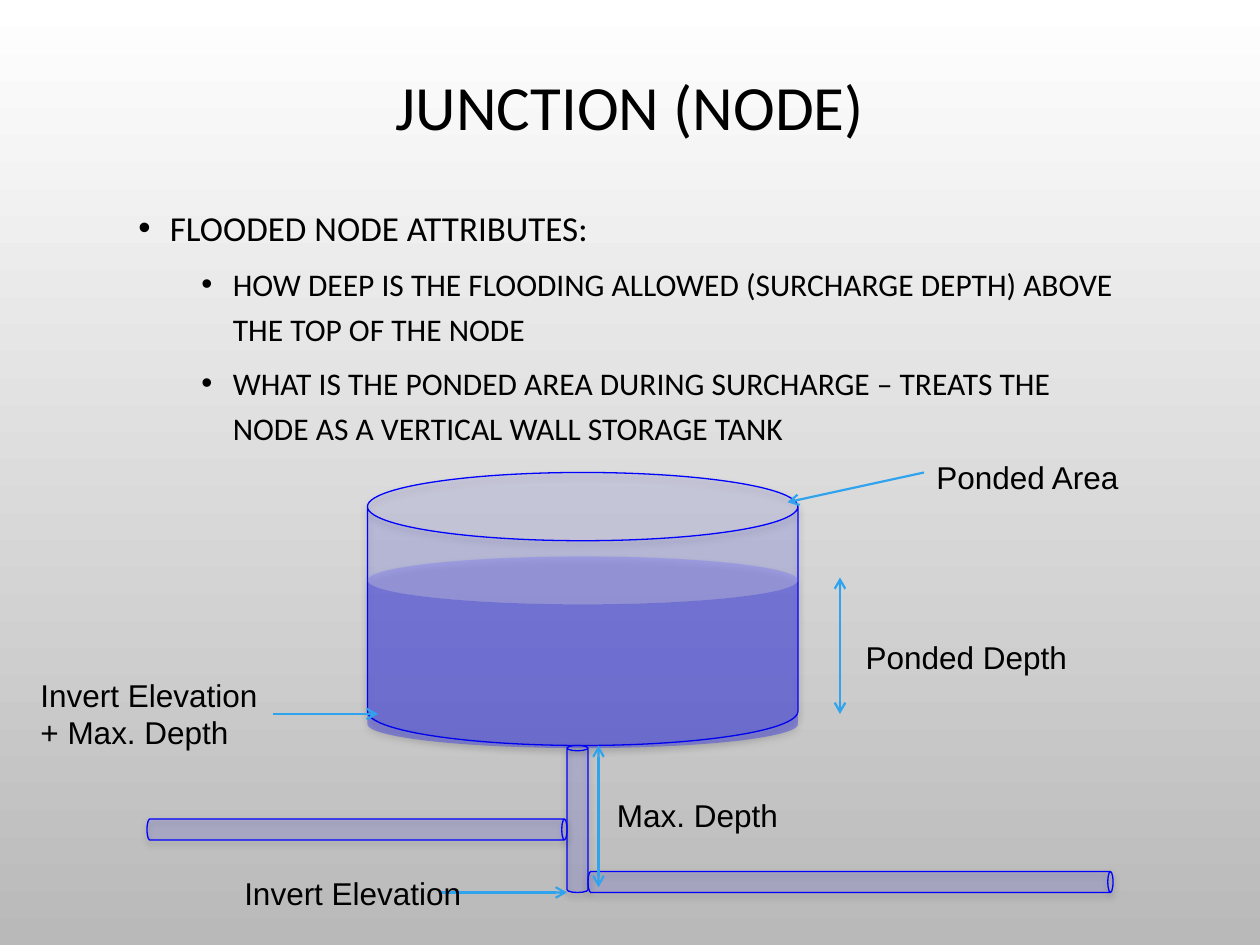
from lxml import etree
from pptx import Presentation
from pptx.dml.color import RGBColor
from pptx.enum import shapes, text
from pptx.oxml import parse_xml
from pptx.util import Pt

NS = "http://schemas.openxmlformats.org/drawingml/2006/main"
BLUE, SKY, BLACK = "0000FF", "2FA3EE", "000000"
SHADOW = (
    f'<a:effectLst xmlns:a="{NS}"><a:outerShdw blurRad="{Pt(4)}" dist="{Pt(2)}" '
    f'dir="5400000" rotWithShape="0"><a:srgbClr val="{BLACK}">'
    '<a:alpha val="28000"/></a:srgbClr></a:outerShdw></a:effectLst>'
)


def tint(color, code):
    """Apply a hex colour to a colour format."""
    color.rgb = RGBColor.from_string(code)


def add(parent, tag, **attrs):
    """Append a drawing element with attributes to a parent."""
    node = etree.SubElement(parent, f"{{{NS}}}{tag}")
    for key, value in attrs.items():
        node.set(key, str(value))
    return node


def style(para, face, size, **form):
    """Set the font and the paragraph format values."""
    for key, value in {"name": face, "size": Pt(size)}.items():
        setattr(para.font, key, value)
    tint(para.font.color, BLACK)
    for key, value in form.items():
        setattr(para, key, value)


def frame(slide, box, wrap=True, anchor=text.MSO_ANCHOR.TOP):
    """Add a text box and return its text frame."""
    body = slide.shapes.add_textbox(*map(Pt, box)).text_frame
    for key, value in {"word_wrap": wrap, "vertical_anchor": anchor}.items():
        setattr(body, key, value)
    return body


def title(slide, box, words):
    """Place the centred title."""
    para = frame(slide, box, anchor=text.MSO_ANCHOR.MIDDLE).paragraphs[0]
    para.text = words
    style(para, "Calibri", 36, alignment=text.PP_ALIGN.CENTER, line_spacing=0.9)


def bullets(slide, box, items):
    """Place a list of (level, words) items."""
    body = frame(slide, box)
    for pos, (level, words) in enumerate(items):
        para = body.add_paragraph() if pos else body.paragraphs[0]
        para.text = words
        props = para._p.get_or_add_pPr()
        props.set("marL", str(Pt(18 + 36 * level)))
        props.set("indent", str(Pt(-18)))
        add(add(props, "buClr"), "srgbClr", val=BLACK)
        add(props, "buFont", typeface="Arial")
        add(props, "buChar", char="•")
        style(para, "Calibri", 20 - 2 * level, level=level,
              line_spacing=1.2, space_before=Pt(5 if pos else 0))


def label(slide, box, words, wrap=False):
    """Place a diagram label."""
    para = frame(slide, box, wrap).paragraphs[0]
    para.text = words
    style(para, "Arial", 18)


def can(slide, box, alpha, edge=True, turn=0):
    """Place a translucent cylinder with a soft shadow."""
    shape = slide.shapes.add_shape(shapes.MSO_SHAPE.CAN, *map(Pt, box))
    shape.rotation = turn
    shape.fill.solid()
    tint(shape.fill.fore_color, BLUE)
    props = shape._element.spPr
    add(props.find(f".//{{{NS}}}srgbClr"), "alpha", val=alpha * 1000)
    if edge:
        tint(shape.line.color, BLUE)
        shape.line.width = Pt(0.75)
    else:
        shape.line.fill.background()
    props.append(parse_xml(SHADOW))


def arrow(slide, ends, both=False):
    """Draw an arrow with one or two open heads."""
    link = slide.shapes.add_connector(shapes.MSO_CONNECTOR.STRAIGHT, *map(Pt, ends))
    tint(link.line.color, SKY)
    link.line.width = Pt(1.25)
    line = link.line._get_or_add_ln()
    for tag in ("headEnd", "tailEnd") if both else ("tailEnd",):
        add(line, tag, type="arrow")
    add(link._element.spPr, "effectLst")


def diagram(slide, left, top):
    """Draw the flooded node with its pipes, arrows and labels."""
    def put(x, y, *size):
        return (left + x, top + y, *size)

    can(slide, put(194, 12, 246, 156), 12)
    can(slide, put(194, 60, 246, 109.5), 30, edge=False)
    for x, y, length, turn in ((308, 168, 84, 0), (182, 96, 240, 90), (464, 96, 300, 90)):
        can(slide, put(x, y, 12, length), 10, turn=turn)
    for x, y, end, low, both in (
        (464, 72, 464, 150, True),
        (512, 12, 434, 29, False),
        (236, 252, 308, 252, False),
        (140, 150, 200, 150, False),
        (326, 168, 326, 249, True),
    ):
        arrow(slide, put(x, y) + put(end, low), both)
    for x, y, width, words in (
        (512, 0, 119.5, "Ponded Area"),
        (471.5, 103, 131, "Ponded Depth"),
        (329.5, 193.5, 107.5, "Max. Depth"),
        (116.5, 238, 139.5, "Invert Elevation"),
    ):
        label(slide, put(x, y, width, 29), words)
    label(slide, put(0, 124.5, 140, 51), "Invert Elevation + Max. Depth", wrap=True)


def main():
    """Build and save the slide."""
    deck = Presentation()
    deck.slide_width, deck.slide_height = Pt(720), Pt(540)
    slide = deck.slides.add_slide(deck.slide_layouts[6])
    fill = slide.background.fill
    fill.gradient()
    fill.gradient_angle = 270
    for stop, place, code in zip(fill.gradient_stops, (0, 1), ("FFFFFF", "B9B9B9")):
        stop.position = place
        tint(stop.color, code)
    title(slide, (54, 0, 612, 126), "JUNCTION (NODE)")
    bullets(slide, (72, 109.5, 576, 320), (
        (0, "FLOODED NODE ATTRIBUTES:"),
        (1, "HOW DEEP IS THE FLOODING ALLOWED (SURCHARGE DEPTH) ABOVE THE TOP OF THE NODE"),
        (1, "WHAT IS THE PONDED AREA DURING SURCHARGE – TREATS THE NODE AS A VERTICAL "
            "WALL STORAGE TANK"),
    ))
    diagram(slide, 16, 258)
    deck.save("out.pptx")


if __name__ == "__main__":
    main()
